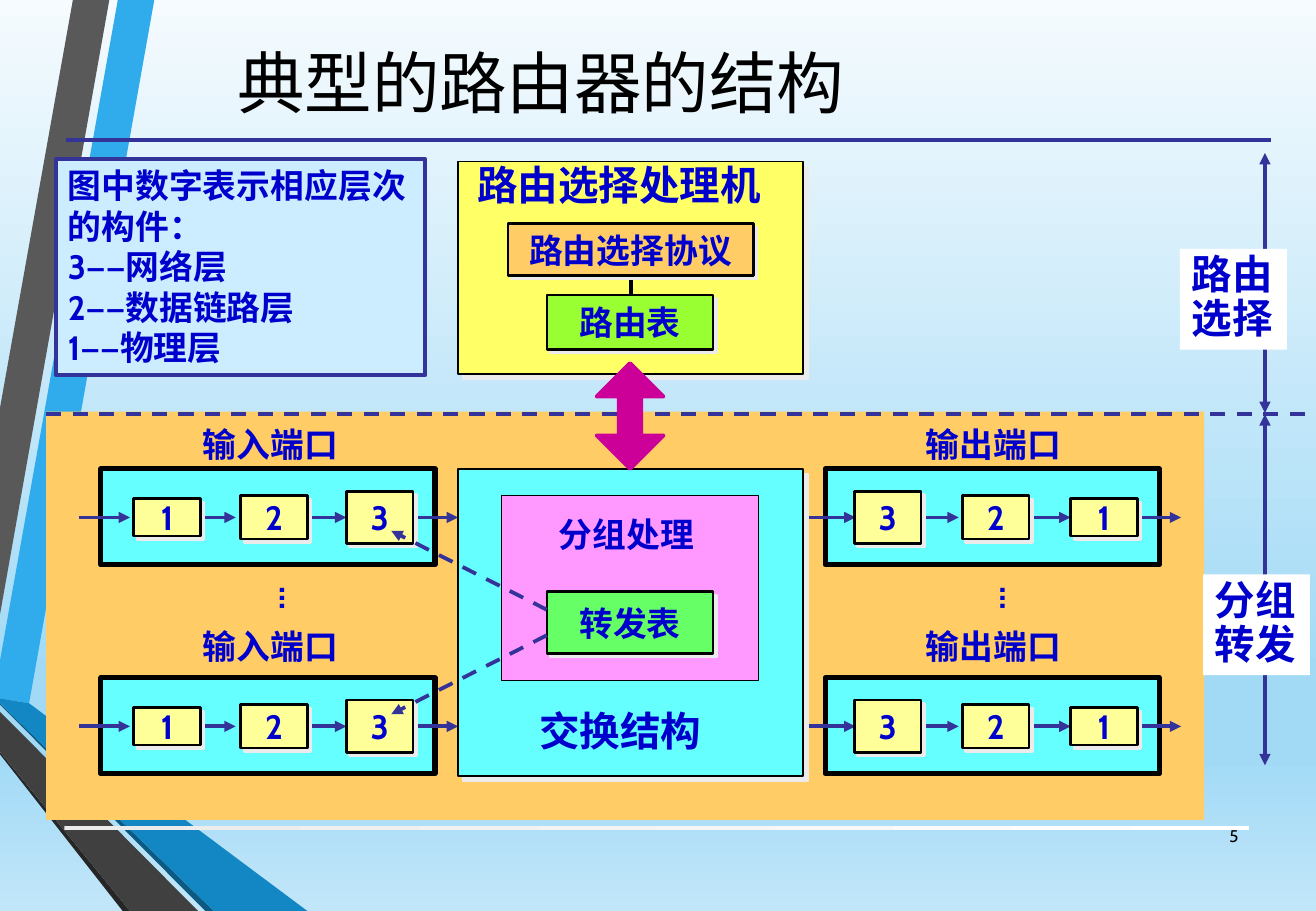
from pptx import Presentation
from pptx.dml.color import RGBColor as Rgb
from pptx.enum.dml import MSO_LINE as Dash
from pptx.enum.shapes import MSO_SHAPE as Form, MSO_CONNECTOR as Link
from pptx.enum.text import PP_ALIGN as Align, MSO_ANCHOR as Anchor
from pptx.oxml.ns import qn
from pptx.util import Inches, Pt
from lxml.etree import SubElement as Sub

# Colours
INK = Rgb(0x00, 0x00, 0xCC)
NAVY = Rgb(0x33, 0x33, 0x99)
BLACK = Rgb(0x00, 0x00, 0x00)
WHITE = Rgb(0xFF, 0xFF, 0xFF)
SHADE = Rgb(0xEB, 0xEB, 0xEB)
ORANGE = Rgb(0xFF, 0xCC, 0x66)
YELLOW = Rgb(0xFF, 0xFF, 0x66)
CREAM = Rgb(0xFF, 0xFF, 0x99)
CYAN = Rgb(0x66, 0xFF, 0xFF)
PINK = Rgb(0xFF, 0x99, 0xFF)
LIME = Rgb(0x99, 0xFF, 0x33)
GREEN = Rgb(0x66, 0xFF, 0x66)
PURPLE = Rgb(0xCC, 0x00, 0x99)
PALE = Rgb(0xCC, 0xEC, 0xFF)
SKY = ((0, Rgb(0xF5, 0xFB, 0xFE)), (74, Rgb(0xA2, 0xDA, 0xF6)),
       (83, Rgb(0xA2, 0xDA, 0xF6)), (100, Rgb(0xC1, 0xE6, 0xF9)))

# Slanted bands at the left edge
BANDS = (
    (Rgb(0x30, 0xAC, 0xEC), ((0, 544), (0, 575), (24, 579), (127, 0), (97, 0))),
    (Rgb(0x59, 0x59, 0x59), ((90, 0), (60, 0), (0, 336), (0, 506))),
    (Rgb(0x26, 0x26, 0x26), ((0, 619), (0, 621), (101, 750), (107, 750))),
    (Rgb(0x0C, 0x5A, 0x82), ((0, 579), (0, 580), (169, 750), (176, 750))),
    (Rgb(0x12, 0x87, 0xC3),
     ((0, 579), (176, 750), (253, 750), (24, 579), (0, 575))),
    (Rgb(0x40, 0x40, 0x40), ((0, 619), (107, 750), (163, 750), (0, 586))),
)

# Port geometry: box left, title, title left, dots left, cells, arrows
IN = (83, "输入端口", 157, 217, ((110, 1), (198, 2), (285, 3)),
      ((65, 107), (157, 194), (249, 285), (340, 377)))
OUT = (679, "输出端口", 752, 810, ((703, 3), (792, 2), (881, 1)),
       ((661, 704), (752, 789), (844, 881), (935, 972)))
TALL = {1: 31, 2: 36, 3: 43}
PORTS = ((386, 344), (558, 510))


class Board:
    """Draws on a grid of 1083 columns by 750 rows."""
    COLS, ROWS = 1083, 750
    TYPE = {"name": "Cabin", "bold": True, "size": Pt(20)}

    def __init__(self):
        self.deck = Presentation()
        self.deck.slide_width = Inches(10.83)
        self.deck.slide_height = Inches(7.5)
        self.slide = self.deck.slides.add_slide(self.deck.slide_layouts[6])
        self.shapes = self.slide.shapes

    def grid(self, *spots):
        """Turn alternating columns and rows into lengths."""
        units = (self.deck.slide_width / self.COLS,
                 self.deck.slide_height / self.ROWS)
        return [round(n * units[i % 2]) for i, n in enumerate(spots)]

    def blend(self, fill, root, stops, turn):
        fill.gradient()
        fill.gradient_angle = turn
        ramp = root.find(".//" + qn("a:gsLst"))
        for old in list(ramp):
            ramp.remove(old)
        for at, tone in stops:
            stop = Sub(ramp, qn("a:gs"), pos=str(at * 1000))
            Sub(stop, qn("a:srgbClr"), val=str(tone))

    def paint(self, item, fill, line=None, width=1.5, drop=0):
        item.shadow.inherit = False
        if fill is not None:
            item.fill.solid()
            item.fill.fore_color.rgb = fill
        if line is None:
            item.line.fill.background()
        else:
            item.line.color.rgb = line
            item.line.width = Pt(width)
        if drop:
            fx = item.element.spPr.find(qn("a:effectLst"))
            cast = Sub(fx, qn("a:outerShdw"), dist=str(Pt(drop)), dir="2700000",
                       algn="ctr", rotWithShape="0")
            Sub(cast, qn("a:srgbClr"), val=str(SHADE))

    def letter(self, item, text, tone=INK, align=Align.LEFT, anchor=Anchor.TOP,
               wrap=False, space=None, **style):
        frame = item.text_frame
        frame.text = text
        frame.word_wrap = wrap
        frame.vertical_anchor = anchor
        for para in frame.paragraphs:
            for key, value in (("alignment", align), ("line_spacing", space)):
                setattr(para, key, value)
            for key, value in {**self.TYPE, **style}.items():
                setattr(para.font, key, value)
            para.font.color.rgb = tone

    def text(self, spot, words, turn=0, **style):
        box = self.shapes.add_textbox(*self.grid(*spot))
        box.rotation = turn
        self.letter(box, words, **style)

    def rect(self, spot, fill, line=None, form=Form.RECTANGLE, **look):
        item = self.shapes.add_shape(form, *self.grid(*spot))
        self.paint(item, fill, line, **look)
        return item

    def card(self, spot, fill, words):
        self.letter(self.rect(spot, fill, BLACK, drop=2.8), words,
                    align=Align.CENTER, anchor=Anchor.MIDDLE)

    def band(self, tone, spots):
        dots = [self.grid(*spot) for spot in spots]
        pen = self.shapes.build_freeform(*dots[0], scale=1.0)
        pen.add_line_segments(dots[1:], close=True)
        self.paint(pen.convert_to_shape(), tone)

    def line(self, ends, tone=NAVY, dash=False, tips=()):
        link = self.shapes.add_connector(Link.STRAIGHT, *self.grid(*ends))
        link.line.color.rgb = tone
        link.line.width = Pt(2.25)
        if dash:
            link.line.dash_style = Dash.DASH
        props = link.element.spPr
        for tip in tips:
            Sub(props.find(qn("a:ln")), qn("a:" + tip), type="triangle")
        Sub(props, qn("a:effectLst"))

    def port(self, top, label, side):
        left, name, start, _, cells, runs = side
        mid = top + 40
        self.rect((left, top, 275, 79), CYAN, BLACK, width=3)
        for a, b in runs:
            self.line((a, mid, b, mid), tips=("tailEnd",))
        for x, layer in cells:
            tall = TALL[layer]
            self.card((x, mid - tall / 2, 55, tall), CREAM, str(layer))
        self.text((start, label, 132, 44), name)


def main():
    board = Board()
    both = ("headEnd", "tailEnd")

    # Backdrop, rules and title
    board.blend(board.slide.background.fill, board.slide.element, SKY, 270)
    for tone, spots in BANDS:
        board.band(tone, spots)
    foot = board.rect((53, 680, 975, 3), None)
    board.blend(foot.fill, foot.element, ((0, SHADE), (100, WHITE)), 0)
    board.line((54, 115, 1046, 115))
    board.text((36, 5, 818, 124), "典型的路由器的结构", tone=BLACK, size=Pt(40),
               bold=False, align=Align.CENTER, anchor=Anchor.MIDDLE, wrap=True)

    # Routing processor
    board.rect((38, 339, 953, 336), ORANGE)
    board.rect((377, 133, 284, 175), YELLOW, BLACK, width=1, drop=4.2)
    board.text((383, 127, 256, 50), "路由选择处理机", size=Pt(24))
    board.line((519, 216, 519, 242), BLACK)
    board.card((418, 184, 202, 43), ORANGE, "路由选择协议")
    board.card((450, 243, 137, 45), LIME, "路由表")

    # Ports on both sides
    for side in (IN, OUT):
        for top, label in PORTS:
            board.port(top, label, side)
        board.text((side[3], 475, 48, 44), "…", turn=90)

    # Switching fabric
    board.rect((377, 386, 284, 253), CYAN, BLACK, width=1, drop=4.2)
    board.text((434, 576, 155, 50), "交换结构", size=Pt(24))
    board.rect((413, 408, 211, 152), PINK, BLACK, width=0.75)
    board.card((450, 487, 137, 51), GREEN, "转发表")
    board.text((450, 418, 132, 44), "分组处理")
    for start, end in ((502, 437), (523, 588)):
        board.line((450, start, 322, end), dash=True, tips=("tailEnd",))

    # Division between routing and forwarding
    board.line((38, 341, 1082, 341), dash=True)
    for x, y, top, end, words in ((971, 205, 126, 340, "路由\n选择"),
                                  (990, 473, 341, 630, "分组\n转发")):
        board.line((1041, top, 1041, end), tips=both)
        board.letter(board.rect((x, y, 88, 83), WHITE), words,
                     size=Pt(24), space=0.9)
    arrow = board.rect((491, 299, 55, 87), PURPLE, PURPLE,
                       form=Form.UP_DOWN_ARROW, width=2.25)
    arrow.adjustments[0], arrow.adjustments[1] = 0.5, 0.34

    # Legend and page number
    board.letter(board.rect((46, 131, 304, 178), PALE, NAVY, width=2.25),
                 "图中数字表示相应层次的构件：\n3——网络层\n2——数据链路层\n1——物理层",
                 wrap=True)
    board.text((978, 668, 51, 40), "5", tone=BLACK, size=Pt(10), bold=False,
               align=Align.RIGHT, anchor=Anchor.MIDDLE, wrap=True)

    board.deck.save("out.pptx")


if __name__ == "__main__":
    main()
